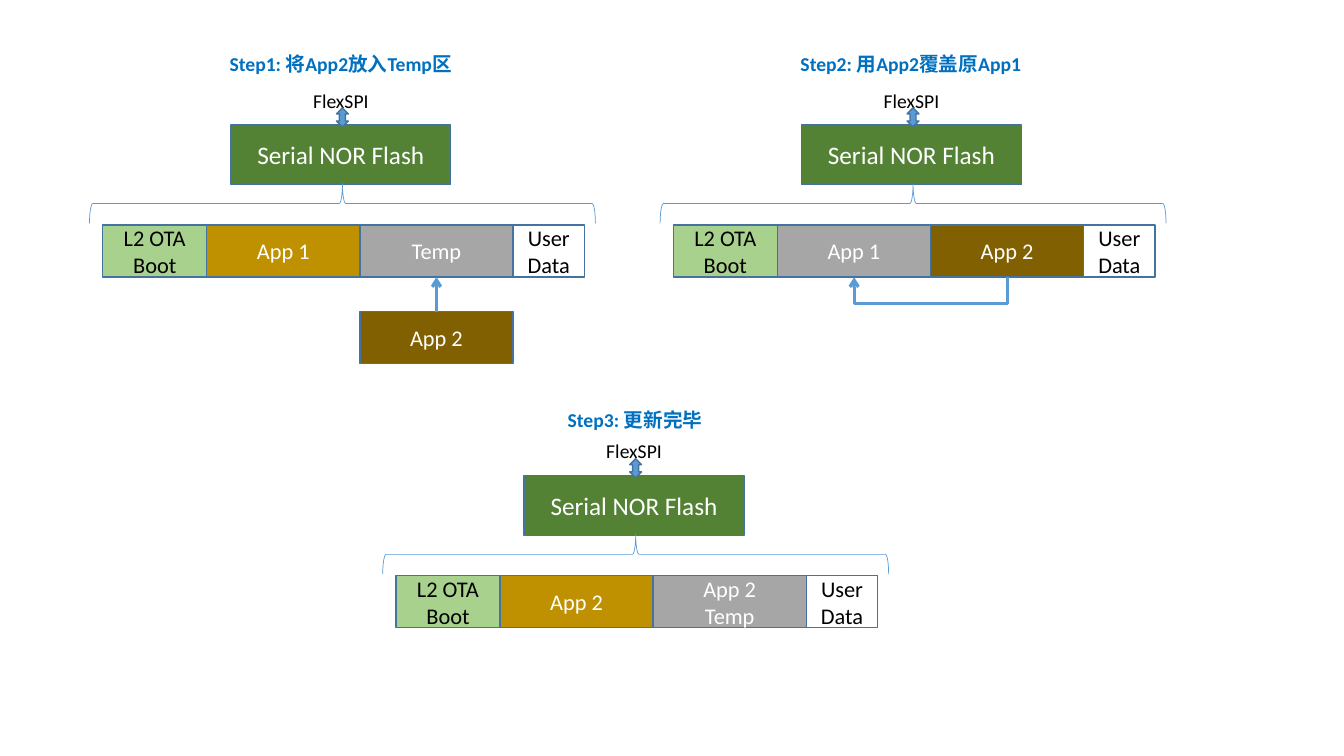
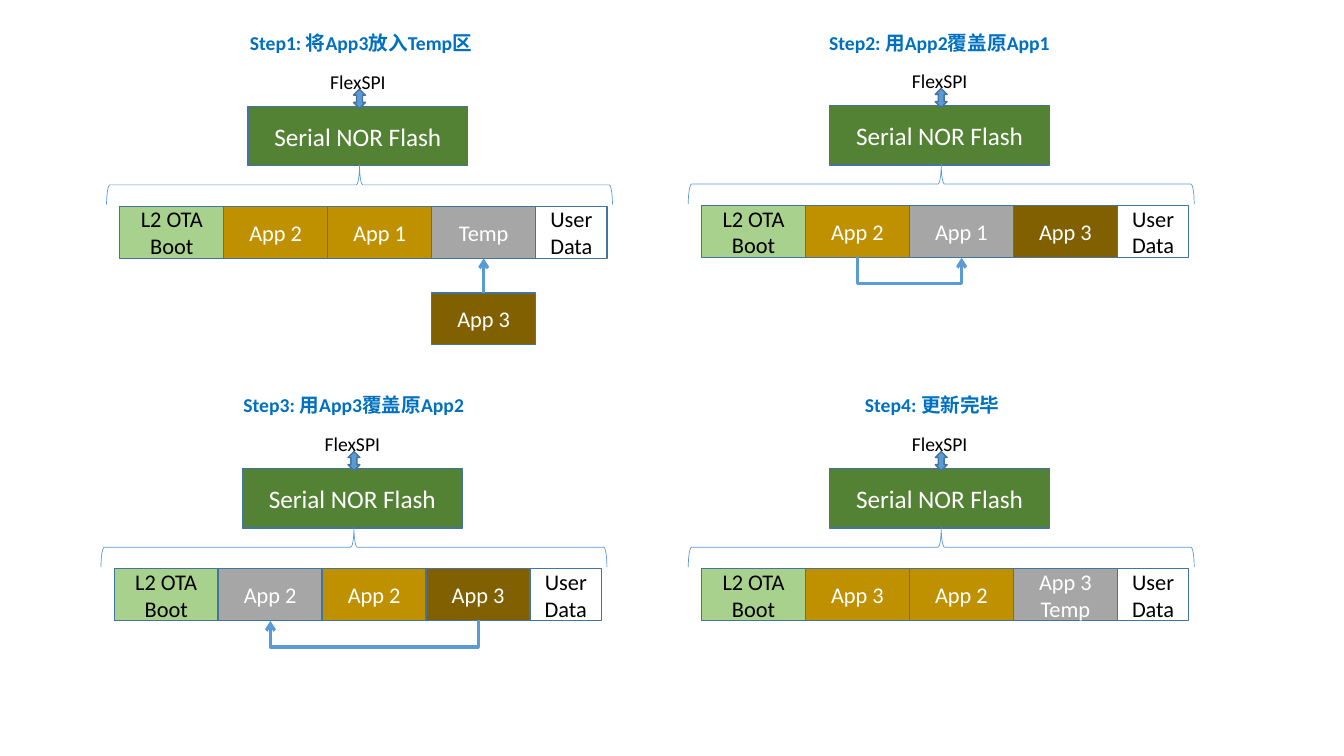
"""Draw how an update moves through flash, step by step."""
from dataclasses import dataclass
from itertools import accumulate

from lxml import etree
from pptx import Presentation
from pptx import util as u
from pptx.dml.color import RGBColor
from pptx.enum import shapes, text
from pptx.oxml.ns import qn

KIND = shapes.MSO_SHAPE
LINK = shapes.MSO_CONNECTOR


@dataclass(frozen=True)
class Theme:
    """Colours and type sizes that all slides share."""
    font: str = "Calibri"
    black: str = "000000"
    white: str = "FFFFFF"
    title: str = "0070C0"
    chip: str = "548235"
    boot: str = "A9D18E"
    app: str = "BF9000"
    fresh: str = "806000"
    temp: str = "A6A6A6"
    edge: str = "43739E"
    blue: str = "5B9BD5"
    small: int = 14
    mid: int = 16
    large: int = 18
    thin: float = 0.5
    rim: float = 1
    thick: float = 2.25


@dataclass(frozen=True)
class Step:
    """One step: its title, its place and the slots of its flash."""
    title: str
    head: tuple
    left: float
    top: float
    apps: tuple
    wide: float
    spare: str = ""
    jump: tuple = ()


T = Theme()
ROW_DOWN, ROW_H = 2.52, 1.31
BOOT_W, USER_W = 2.62, 1.8
BIG, SLIM = 3.86, 2.62
SPARE_GAP = 0.87
DROP, SLIVER = 0.67, 0.01

FIRST = (
    Step("Step1: 将App2放入Temp区", (4.98, 0.99), 2.59, 3.15,
         (("App 1", T.app), ("Temp", T.temp)), BIG, spare="App 2"),
    Step("Step2: 用App2覆盖原App1", (19.35, 0.99), 16.97, 3.15,
         (("App 1", T.temp), ("App 2", T.fresh)), BIG, jump=(2, 1)),
    Step("Step3: 更新完毕", (12.4, 9.96), 9.98, 11.99,
         (("App 2", T.app), ("App 2\nTemp", T.temp)), BIG),
)
SECOND = (
    Step("Step1: 将App3放入Temp区", (5.49, 0.46), 3.02, 2.68,
         (("App 2", T.app), ("App 1", T.app), ("Temp", T.temp)), SLIM,
         spare="App 3"),
    Step("Step2: 用App2覆盖原App1", (20.07, 0.46), 17.68, 2.66,
         (("App 2", T.app), ("App 1", T.temp), ("App 3", T.fresh)), SLIM,
         jump=(1, 2)),
    Step("Step3: 用App3覆盖原App2", (5.31, 9.58), 2.88, 11.81,
         (("App 2", T.temp), ("App 2", T.app), ("App 3", T.fresh)), SLIM,
         jump=(3, 1)),
    Step("Step4: 更新完毕", (19.89, 9.58), 17.68, 11.81,
         (("App 3", T.app), ("App 2", T.app), ("App 3\nTemp", T.temp)), SLIM),
)


def write(shape, words, size, ink, bold=False):
    """Put centred words in a shape, one paragraph a line."""
    frame = shape.text_frame
    frame.word_wrap = True
    frame.vertical_anchor = text.MSO_ANCHOR.MIDDLE
    for i, line in enumerate(words.split("\n")):
        para = frame.add_paragraph() if i else frame.paragraphs[0]
        para.alignment = text.PP_ALIGN.CENTER
        run = para.add_run()
        run.text = line
        font = run.font
        font.name, font.size, font.bold = T.font, u.Pt(size), bold
        font.color.rgb = RGBColor.from_string(ink)


def stroke(item, hue, width):
    """Set the line of a shape or connector."""
    item.line.color.rgb = RGBColor.from_string(hue)
    item.line.width = u.Pt(width)


def label(slide, box, words, ink, bold=False):
    """Add a text box."""
    note = slide.shapes.add_textbox(*map(u.Cm, box))
    write(note, words, T.small, ink, bold)


def form(slide, kind, box, fill=None, hue=T.edge, width=T.rim):
    """Add a preset shape, filled or hollow."""
    shape = slide.shapes.add_shape(kind, *map(u.Cm, box))
    shape.shadow.inherit = False
    if fill:
        shape.fill.solid()
        shape.fill.fore_color.rgb = RGBColor.from_string(fill)
    else:
        shape.fill.background()
    stroke(shape, hue, width)
    return shape


def block(slide, box, words, fill, ink=T.white, size=T.mid):
    """Add a rectangle with words in it."""
    write(form(slide, KIND.RECTANGLE, box, fill), words, size, ink)


def arrow(slide, kind, start, end):
    """Add a connector with an arrowhead at its end."""
    link = slide.shapes.add_connector(kind, *map(u.Cm, (*start, *end)))
    stroke(link, T.blue, T.thick)
    props = link.element.spPr
    etree.SubElement(props.find(qn("a:ln")), qn("a:tailEnd"), type="arrow")
    etree.SubElement(props, qn("a:effectLst"))
    return props


def hook(slide, start, end, base):
    """Add an arrow that dips below the row from one slot to another."""
    mid, half = (start + end) / 2, (start - end) / 2
    props = arrow(slide, LINK.ELBOW, (mid, base - half),
                  (mid + SLIVER, base + half))
    props.find(qn("a:xfrm")).set("rot", "5400000")
    geom = props.find(qn("a:prstGeom"))
    guides = geom.find(qn("a:avLst"))
    if guides is None:
        guides = etree.SubElement(geom, qn("a:avLst"))
    ratio = round(DROP / SLIVER * 100000)
    etree.SubElement(guides, qn("a:gd"), name="adj1", fmla=f"val {ratio}")


def chip(slide, left, top):
    """Add the flash chip with its bus above and its brace below."""
    label(slide, (left + 4.64, top - 1.25, 2.72, 1.25), "FlexSPI", T.black)
    block(slide, (left + 3.23, top, 5.54, 1.5), "Serial NOR Flash", T.chip,
          size=T.large)
    wide, tall = 1, 12.75
    brace = form(slide, KIND.LEFT_BRACE,
                 (left + 6.04 - wide / 2, top + 1.98 - tall / 2, wide, tall),
                 hue=T.blue, width=T.thin)
    brace.rotation = 90
    form(slide, KIND.UP_DOWN_ARROW, (left + 5.89, top - 0.43, 0.3, 0.48),
         T.blue)


def panel(slide, step):
    """Add one whole step."""
    label(slide, (*step.head, 7.21, 1.25), step.title, T.title, True)
    chip(slide, step.left, step.top)
    slots = [("L2 OTA Boot", T.boot, T.black, BOOT_W)]
    slots += [(name, fill, T.white, step.wide) for name, fill in step.apps]
    slots.append(("User Data", None, T.black, USER_W))
    edges = list(accumulate((s[-1] for s in slots), initial=step.left))
    row = step.top + ROW_DOWN
    base = row + ROW_H
    for x, (name, fill, ink, wide) in zip(edges, slots):
        block(slide, (x, row, wide, ROW_H), name, fill, ink)
    if step.spare:
        x, y = edges[len(step.apps)], base + SPARE_GAP
        block(slide, (x, y, step.wide, ROW_H), step.spare, T.fresh)
        mid = x + step.wide / 2
        arrow(slide, LINK.STRAIGHT, (mid, y), (mid, base))
    if step.jump:
        start, end = (edges[i] + step.wide / 2 for i in step.jump)
        hook(slide, start, end, base)


def main():
    """Build and save the deck."""
    deck = Presentation()
    deck.slide_width, deck.slide_height = u.Cm(33.87), u.Cm(19.05)
    for steps in (FIRST, SECOND):
        slide = deck.slides.add_slide(deck.slide_layouts[6])
        for step in steps:
            panel(slide, step)
    deck.save("out.pptx")


main()
